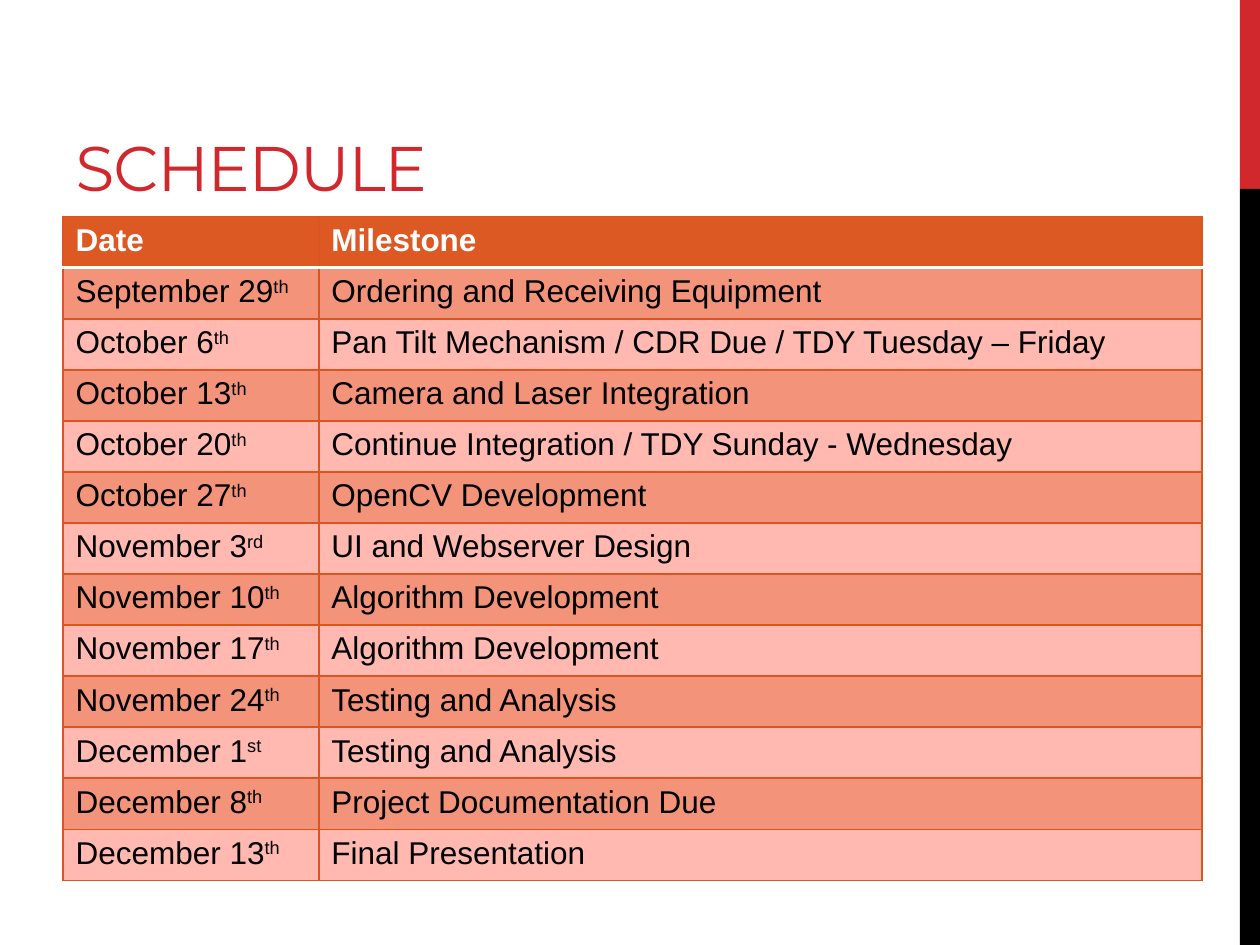
"""Build a project schedule slide with a table of milestones."""
import pptx
import pptx.dml.color
import pptx.enum.shapes
import pptx.enum.text
import pptx.oxml
import pptx.oxml.ns
import pptx.util

Inches = pptx.util.Inches
COLORS = {
    "red": "D1282E", "black": "000000", "white": "FFFFFF", "header": "DC5924",
    "border": "DC551F", "dark_band": "F3937A", "light_band": "FFB9B1",
}
MILESTONES = [
    ("September 29", "th", "Ordering and Receiving Equipment"),
    ("October 6", "th", "Pan Tilt Mechanism / CDR Due / TDY Tuesday – Friday"),
    ("October 13", "th", "Camera and Laser Integration"),
    ("October 20", "th", "Continue Integration / TDY Sunday - Wednesday"),
    ("October 27", "th", "OpenCV Development"),
    ("November 3", "rd", "UI and Webserver Design"),
    ("November 10", "th", "Algorithm Development"),
    ("November 17", "th", "Algorithm Development"),
    ("November 24", "th", "Testing and Analysis"),
    ("December 1", "st", "Testing and Analysis"),
    ("December 8", "th", "Project Documentation Due"),
    ("December 13", "th", "Final Presentation"),
]


def add_text(paragraph, text, font="Arial", size=18, color="black", bold=False, **attributes):
    """Add a formatted run; attributes are raw run properties."""
    run = paragraph.add_run()
    run.text = text
    run.font.name = font
    run.font.size = pptx.util.Pt(size)
    run.font.bold = bold
    run.font.color.rgb = pptx.dml.color.RGBColor.from_string(COLORS[color])
    for name, value in attributes.items():
        run.font._element.set(name, str(value))


def format_cell(cell, fill, top="border", bottom="border"):
    """Fill a cell and draw its four borders; white borders are heavier."""
    cell.fill.solid()
    cell.fill.fore_color.rgb = pptx.dml.color.RGBColor.from_string(COLORS[fill])
    properties = cell._tc.get_or_add_tcPr()
    sides = {"L": "border", "R": "border", "T": top, "B": bottom}
    for index, (side, color) in enumerate(sides.items()):
        width = pptx.util.Pt(2.25 if color == "white" else 1)
        properties.insert(index, pptx.oxml.parse_xml(
            f'<a:ln{side} {pptx.oxml.ns.nsdecls("a")} w="{width}"><a:solidFill>'
            f'<a:srgbClr val="{COLORS[color]}"/></a:solidFill></a:ln{side}>'))


presentation = pptx.Presentation()
presentation.slide_width, presentation.slide_height = Inches(10), Inches(7.5)
slide = presentation.slides.add_slide(presentation.slide_layouts[5])

for top, height, color in [(0, 1.5, "red"), (1.5, 6, "black")]:
    bar = slide.shapes.add_shape(
        pptx.enum.shapes.MSO_SHAPE.RECTANGLE,
        Inches(9.84), Inches(top), Inches(0.16), Inches(height))
    bar.shadow.inherit = False
    bar.fill.solid()
    bar.fill.fore_color.rgb = pptx.dml.color.RGBColor.from_string(COLORS[color])
    bar.line.fill.background()

title = slide.shapes.title
title.left, title.top = Inches(0.5), Inches(0.17)
title.width, title.height = Inches(6.33), Inches(1.5)
title.text_frame.auto_size = pptx.enum.text.MSO_AUTO_SIZE.NONE
title.text_frame.vertical_anchor = pptx.enum.text.MSO_ANCHOR.BOTTOM
paragraph = title.text_frame.paragraphs[0]
paragraph.alignment = pptx.enum.text.PP_ALIGN.LEFT
add_text(paragraph, "SCHEDULE", font="Montserrat", size=36, color="red", spc=-60)

table = slide.shapes.add_table(
    len(MILESTONES) + 1, 2, Inches(0.5), Inches(1.72), Inches(9.04), Inches(5.27)).table
table.horz_banding = False
table.columns[0].width, table.columns[1].width = Inches(2.03), Inches(7.01)

for cell, heading in zip(table.rows[0].cells, ["Date", "Milestone"]):
    format_cell(cell, "header", bottom="white")
    add_text(cell.text_frame.paragraphs[0], heading, color="white", bold=True)

for row, (date, suffix, milestone) in enumerate(MILESTONES, start=1):
    date_cell, milestone_cell = table.rows[row].cells
    for cell in (date_cell, milestone_cell):
        format_cell(cell, "dark_band" if row % 2 else "light_band",
                    top="white" if row == 1 else "border")
    paragraph = date_cell.text_frame.paragraphs[0]
    add_text(paragraph, date)
    add_text(paragraph, suffix, baseline=30000)
    add_text(milestone_cell.text_frame.paragraphs[0], milestone)

presentation.save("out.pptx")
